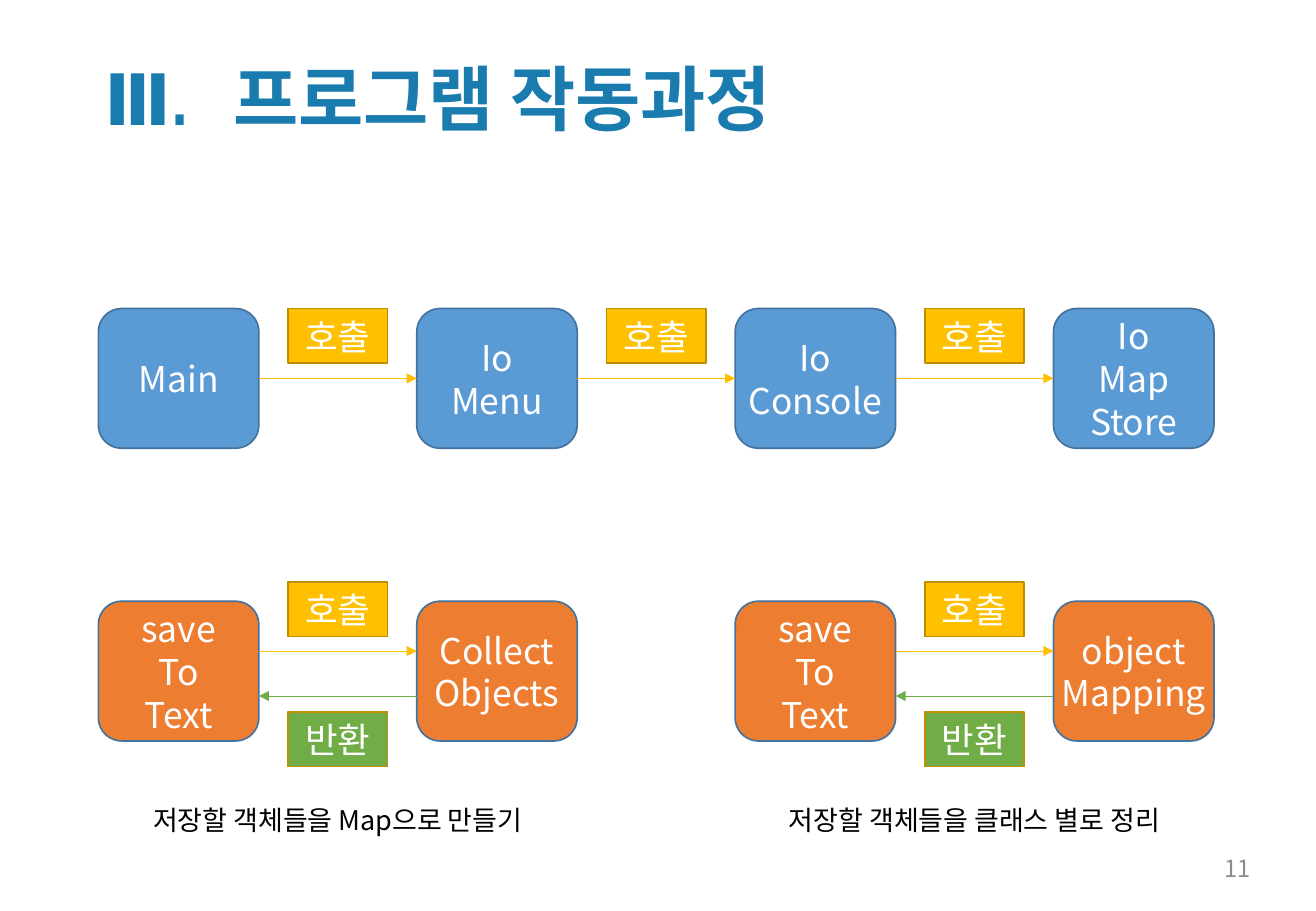
from lxml.etree import SubElement
from pptx import Presentation
from pptx.dml.color import RGBColor
from pptx.enum.shapes import MSO_CONNECTOR, MSO_SHAPE
from pptx.enum.text import MSO_ANCHOR, PP_ALIGN
from pptx.oxml.ns import qn
from pptx.util import Emu, Inches, Pt

TITLE = "Ⅲ.\t프로그램 작동과정"
PAGE = "11"
CALL, BACK = "호출", "반환"
CHAIN = ["Main", "Io\nMenu", "Io\nConsole", "Io\nMap\nStore"]
PAIRS = [
    (0, "save\nTo\nText", "Collect\nObjects", "저장할 객체들을 Map으로 만들기"),
    (2, "save\nTo\nText", "object\nMapping", "저장할 객체들을 클래스 별로 정리"),
]

FONT = "Noto Sans CJK KR"
BLUE, ORANGE, YELLOW, GREEN = "5B9BD5", "ED7D31", "FFC000", "70AD47"
BLUE_EDGE, GOLD_EDGE, WHITE = "43739E", "BD8E00", "FFFFFF"

W, H = 10.83, 7.5
LEFT, PITCH = 0.81, 2.62
BOX_W, BOX_H = 1.32, 1.15
TAG_W, TAG_H = 0.82, 0.45
CHAIN_Y, PAIR_Y = 2.54, 4.95
CAPTION_W, CAPTION_H = 3.64, 0.37
LINE_RATIO = 1.21


def rgb(value):
    return RGBColor.from_string(value)


def column(i):
    return LEFT + i * PITCH


def write(shape, text, size, color, align=PP_ALIGN.CENTER, font=FONT, bold=False,
          inset=0.0, wrap=False):
    tf = shape.text_frame
    frame = {"word_wrap": wrap, "vertical_anchor": MSO_ANCHOR.MIDDLE,
             "margin_left": Inches(inset), "margin_right": Inches(inset),
             "margin_top": 0, "margin_bottom": 0}
    for name, value in frame.items():
        setattr(tf, name, value)
    for i, line in enumerate(text.split("\n")):
        p = tf.add_paragraph() if i else tf.paragraphs[0]
        p.alignment = align
        p.line_spacing = Pt(round(size * LINE_RATIO, 1))
        r = p.add_run()
        r.text = line
        for name, value in {"size": Pt(size), "name": font, "bold": bold}.items():
            setattr(r.font, name, value)
        r.font.color.rgb = rgb(color)
        SubElement(r.font._element, qn("a:ea"), typeface=FONT)
    return tf


def add_text(s, x, y, w, h, text, size, color, **style):
    box = s.shapes.add_textbox(Inches(x), Inches(y), Inches(w), Inches(h))
    return write(box, text, size, color, **style)


def add_block(s, kind, x, y, w, h, text, fill, edge):
    sp = s.shapes.add_shape(kind, Inches(x), Inches(y), Inches(w), Inches(h))
    sp.shadow.inherit = False
    sp.fill.solid()
    sp.fill.fore_color.rgb = rgb(fill)
    sp.line.color.rgb = rgb(edge)
    sp.line.width = Pt(1)
    write(sp, text, 21, WHITE)
    return sp


def add_box(s, col, y, text, fill):
    return add_block(s, MSO_SHAPE.ROUNDED_RECTANGLE, column(col), y, BOX_W, BOX_H,
                     text, fill, BLUE_EDGE)


def add_tag(s, col, y, text, fill):
    gap = PITCH - BOX_W
    x = column(col) + BOX_W + (gap - TAG_W) / 2
    add_block(s, MSO_SHAPE.RECTANGLE, x, y, TAG_W, TAG_H, text, fill, GOLD_EDGE)


def add_arrow(s, x1, x2, y, color):
    c = s.shapes.add_connector(MSO_CONNECTOR.STRAIGHT, x1, y, x2, y)
    c.line.color.rgb = rgb(color)
    c.line.width = Pt(0.5)
    SubElement(c.line._get_or_add_ln(), qn("a:tailEnd"), type="triangle")
    SubElement(c._element.spPr, qn("a:effectLst"))
    return c


def add_chain(s):
    boxes = [add_box(s, i, CHAIN_Y, text, BLUE) for i, text in enumerate(CHAIN)]
    for i, (a, b) in enumerate(zip(boxes, boxes[1:])):
        c = add_arrow(s, a.left + a.width, b.left, Emu(a.top + a.height // 2), YELLOW)
        c.begin_connect(a, 3)
        c.end_connect(b, 1)
        add_tag(s, i, CHAIN_Y, CALL, YELLOW)


def add_pair(s, col, caller, callee, caption):
    a = add_box(s, col, PAIR_Y, caller, ORANGE)
    b = add_box(s, col + 1, PAIR_Y, callee, ORANGE)
    x1, x2 = a.left + a.width, b.left
    add_arrow(s, x1, x2, Inches(PAIR_Y + 0.41), YELLOW)
    add_arrow(s, x2, x1, Inches(PAIR_Y + 0.78), GREEN)
    add_tag(s, col, PAIR_Y - 0.16, CALL, YELLOW)
    add_tag(s, col, PAIR_Y + 0.91, BACK, GREEN)
    x = column(col) + (PITCH + BOX_W - CAPTION_W) / 2
    add_text(s, x, 6.56, CAPTION_W, CAPTION_H, caption, 16, "000000")


def main():
    prs = Presentation()
    prs.slide_width, prs.slide_height = Inches(W), Inches(H)
    s = prs.slides.add_slide(prs.slide_layouts[6])
    tf = add_text(s, 0.74, 0.38, 6.04, 0.83, TITLE, 42, "1A7BAE",
                  align=PP_ALIGN.LEFT, font="Arial Narrow", bold=True, inset=0.12)
    tabs = SubElement(tf.paragraphs[0]._p.get_or_add_pPr(), qn("a:tabLst"))
    SubElement(tabs, qn("a:tab"), pos=str(Inches(1.06)), algn="l")
    add_chain(s)
    for pair in PAIRS:
        add_pair(s, *pair)
    add_text(s, 7.65, 6.95, 2.76, 0.4, PAGE, 14, "8C8C8C",
             align=PP_ALIGN.RIGHT, inset=0.12, wrap=True)
    prs.save("out.pptx")


if __name__ == "__main__":
    main()
